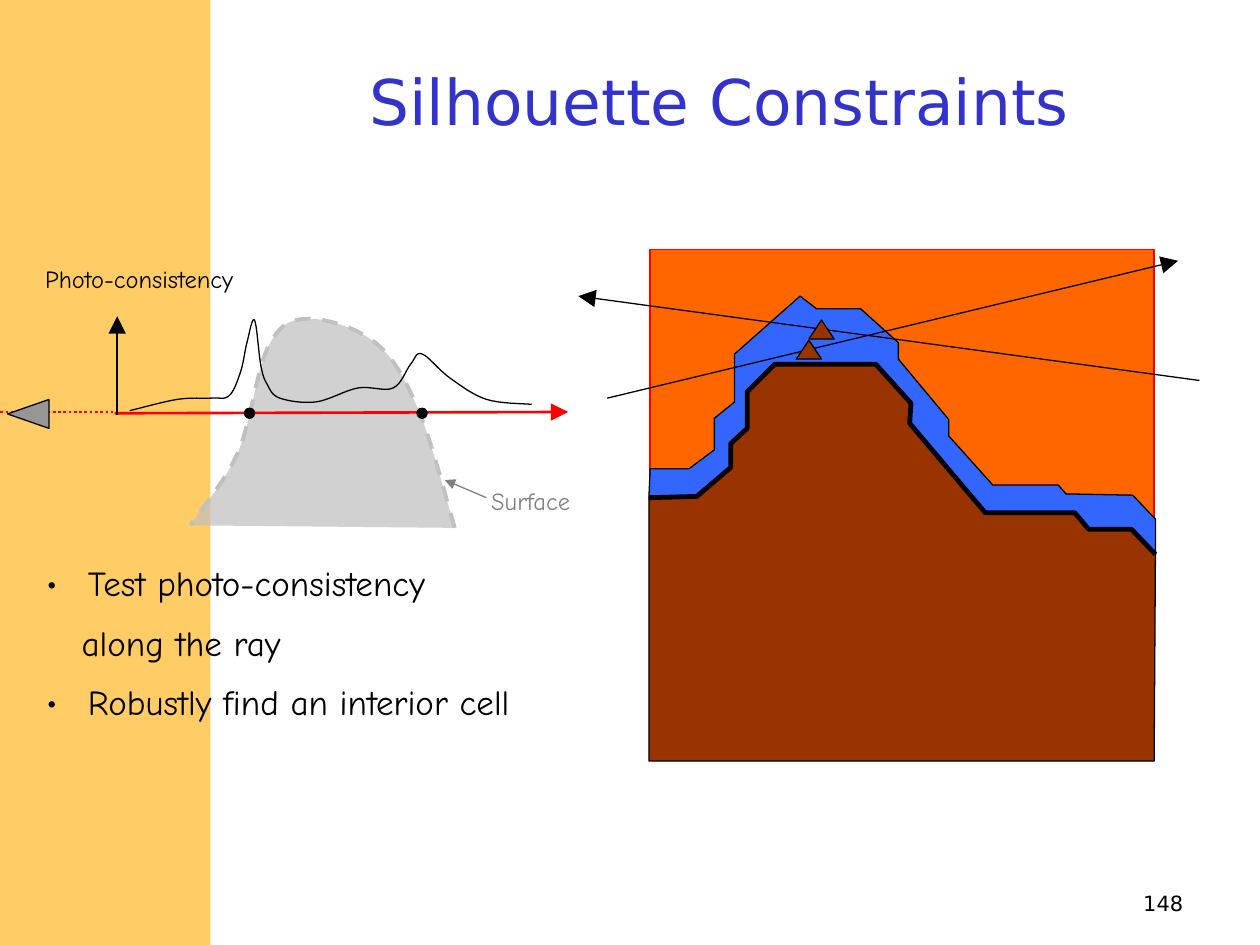
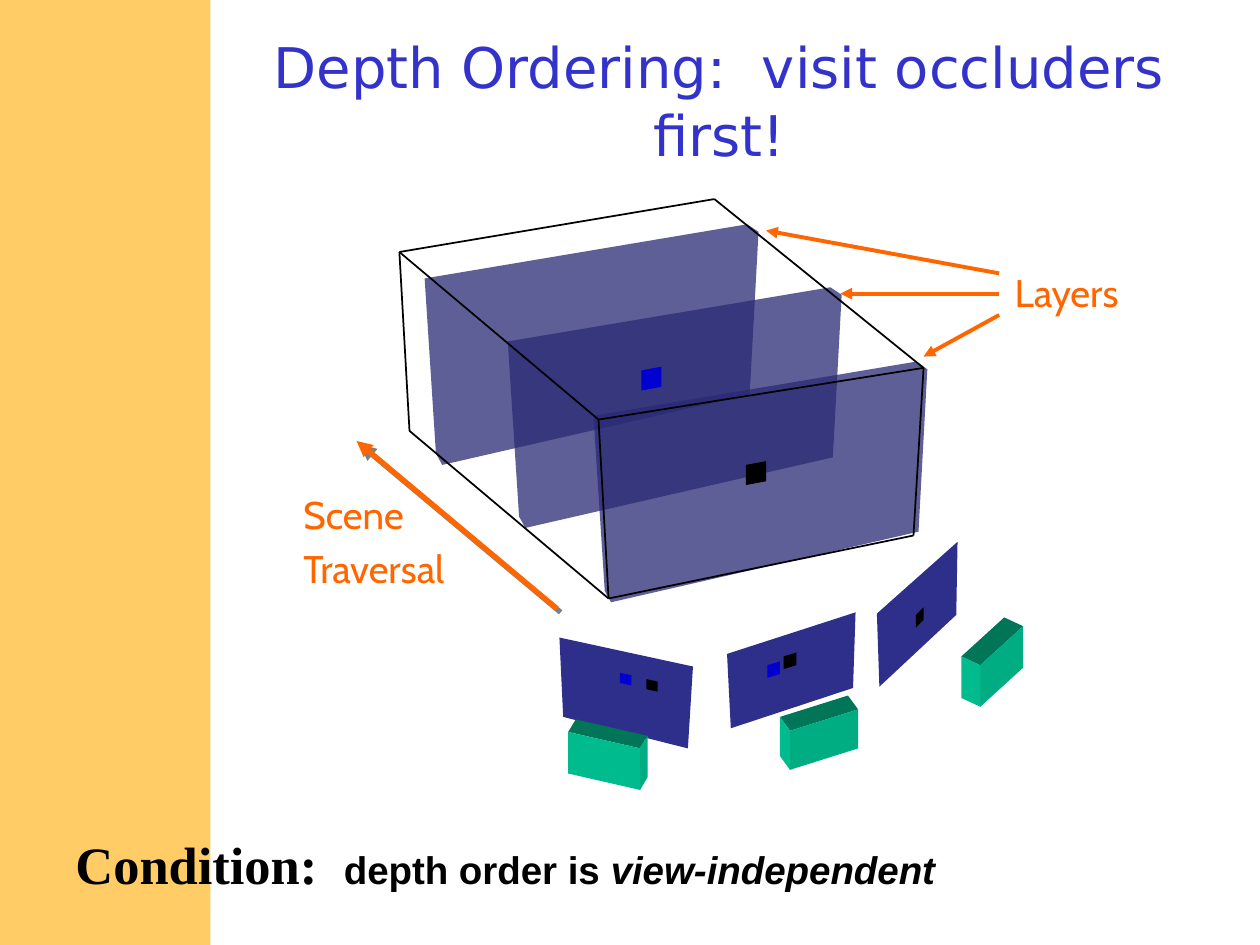
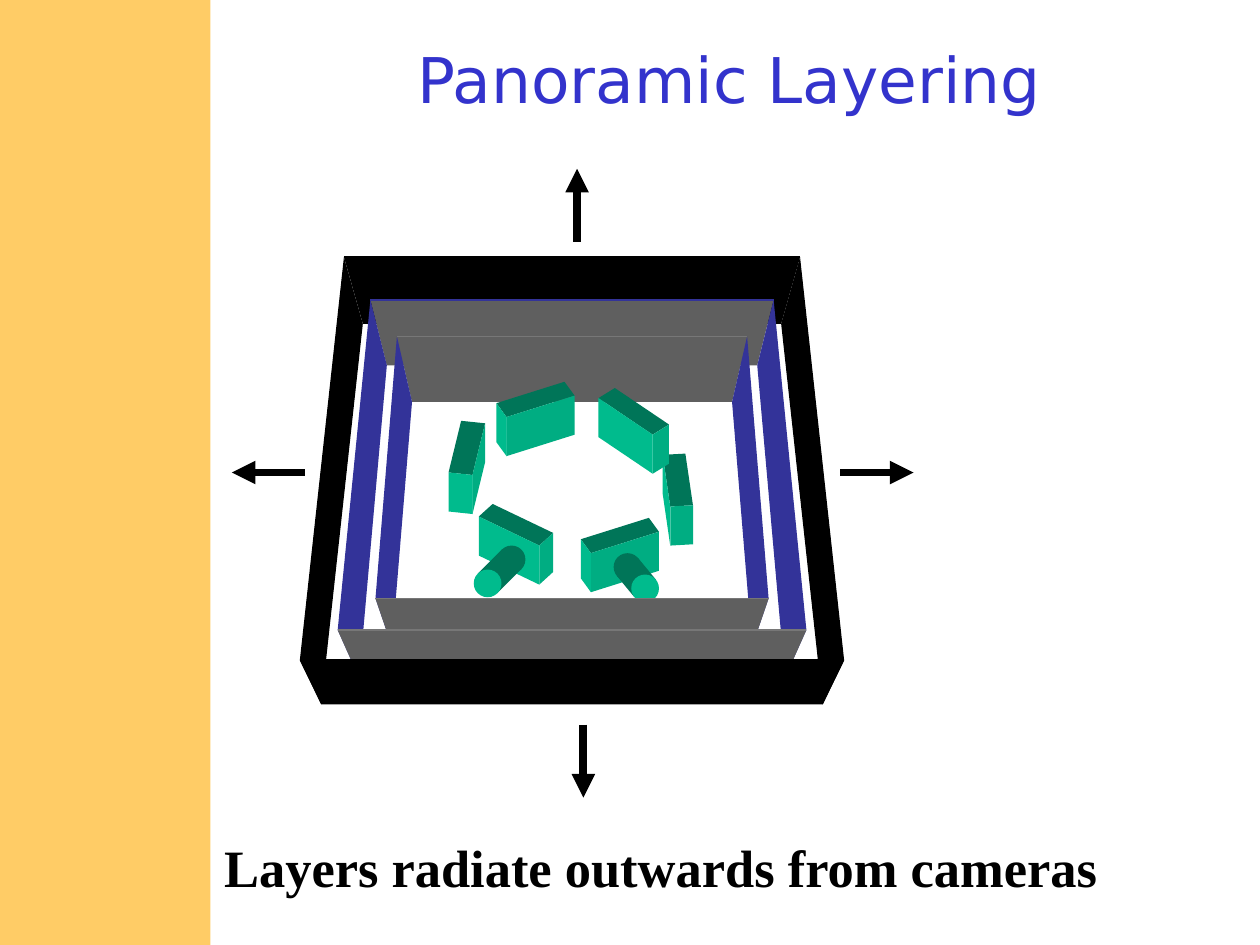
from dataclasses import dataclass
from itertools import product
from math import hypot
from typing import Any, NamedTuple

from lxml import etree
from pptx import Presentation
from pptx.dml.color import RGBColor
from pptx.enum.dml import MSO_LINE
from pptx.enum.shapes import MSO_CONNECTOR, MSO_SHAPE
from pptx.enum.text import MSO_ANCHOR, PP_ALIGN
from pptx.oxml.ns import qn
from pptx.util import Inches, Pt

BAND = RGBColor(0xFF, 0xCC, 0x66)
TITLE = RGBColor(0x33, 0x33, 0xCC)
BLACK = RGBColor(0x00, 0x00, 0x00)
RED = RGBColor(0xFF, 0x00, 0x00)
ORANGE = RGBColor(0xFF, 0x66, 0x00)
BROWN = RGBColor(0x99, 0x33, 0x00)
SKY = RGBColor(0x33, 0x66, 0xFF)
GREY = RGBColor(0x80, 0x80, 0x80)
MID_GREY = RGBColor(0x96, 0x96, 0x96)
SILVER = RGBColor(0xC0, 0xC0, 0xC0)
EDGE_GREY = RGBColor(0x77, 0x77, 0x77)
WALL_GREY = RGBColor(0x5F, 0x5F, 0x5F)
WALL_BLUE = RGBColor(0x33, 0x33, 0x99)
LAYER_BLUE = RGBColor(0x2A, 0x2A, 0x75)
VIEW_BLUE = RGBColor(0x2E, 0x2E, 0x8B)
VOXEL_BLUE = RGBColor(0x00, 0x00, 0xD0)
GREEN_TOP = RGBColor(0x00, 0x75, 0x58)
GREEN_RIGHT = RGBColor(0x00, 0xAD, 0x82)
GREEN_LEFT = RGBColor(0x00, 0xBB, 0x8D)

SANS, HAND, LABEL, SERIF, BODY = (
    "DejaVu Sans", "Comic Neue", "Cabin", "Times New Roman", "Arial")


class Camera(NamedTuple):
    """Block seen from above: edges that leave its near top corner."""
    to_left: tuple
    to_right: tuple
    height: float = .31


RISING = Camera((-.08, -.11), (.54, -.17))
FALLING = Camera((-.57, -.13), (.06, -.1), .33)
STEEP = Camera((-.15, -.07), (.34, -.31), .33)
WEST = Camera((-.19, -.02), (.1, -.41))
EAST = Camera((-.06, -.41), (.18, -.01))
NORTH_EAST = Camera((-.43, -.29), (.13, -.08))
SOUTH_WEST = Camera((-.48, -.23), (.11, -.1))


class View(NamedTuple):
    """Image plane with its pixels, and the camera that sees it."""
    place: tuple
    plane: list
    pixel_edge: tuple
    pixel_height: float
    pixels: list
    camera_place: tuple
    camera: Camera


class Ring(NamedTuple):
    """Four walls; each corner pair is (half width, y), mirrored at the room's axis."""
    back_top: tuple
    back_bottom: tuple
    front_top: tuple
    front_bottom: tuple
    face: RGBColor
    side: RGBColor
    back_edge: RGBColor
    front_edge: RGBColor


def add(*vectors):
    return tuple(map(sum, zip(*vectors)))


def parallelogram(across, down, corner=(0, 0)):
    return [corner, add(corner, across), add(corner, across, down), add(corner, down)]


def catmull_rom(before, start, end, after, t):
    return .5 * (2 * start + (end - before) * t
                 + (2 * before - 5 * start + 4 * end - after) * t ** 2
                 + (3 * start - before - 3 * end + after) * t ** 3)


def smooth_curve(knots, steps=8):
    """Points of a smooth curve through the knots."""
    padded = [knots[0], *knots, knots[-1]]
    spans = zip(padded, padded[1:], padded[2:], padded[3:])
    return [tuple(catmull_rom(*values, i / steps) for values in zip(*span))
            for span, i in product(spans, range(steps))] + [knots[-1]]


def paint(shape, fill=None, line=None, width=.75, alpha=None):
    shape.shadow.inherit = False
    if fill is None:
        shape.fill.background()
    else:
        shape.fill.solid()
        shape.fill.fore_color.rgb = fill
        if alpha:
            color = shape._element.spPr.find(qn("a:solidFill"))[0]
            etree.SubElement(color, qn("a:alpha"), val=str(alpha * 1000))
    if line is None:
        shape.line.fill.background()
    else:
        shape.line.color.rgb = line
        shape.line.width = Pt(width)
    return shape


@dataclass
class Region:
    """Part of a slide; every position is in inches from its top left."""
    s: Any
    x: float
    y: float

    def emu(self, point):
        return Inches(self.x + point[0]), Inches(self.y + point[1])

    def inner(self, x, y):
        return Region(self.s, self.x + x, self.y + y)

    def poly(self, points, fill=None, line=None, width=.75, alpha=None, close=True):
        first, *rest = map(self.emu, points)
        builder = self.s.shapes.build_freeform(*first)
        builder.add_line_segments(rest, close=close)
        return paint(builder.convert_to_shape(), fill, line, width, alpha)

    def shape(self, kind, x, y, w, h, fill, line=None):
        sp = self.s.shapes.add_shape(kind, *self.emu((x, y)), Inches(w), Inches(h))
        return paint(sp, fill, line)

    def disc(self, center, radius, fill, line=None):
        x, y = center
        return self.shape(MSO_SHAPE.OVAL, x - radius, y - radius,
                          2 * radius, 2 * radius, fill, line)

    def line(self, start, end, color=BLACK, width=.75):
        c = self.s.shapes.add_connector(
            MSO_CONNECTOR.STRAIGHT, *self.emu(start), *self.emu(end))
        c.line.color.rgb = color
        c.line.width = Pt(width)
        etree.SubElement(c._element.spPr, qn("a:effectLst"))
        return c

    def arrow(self, start, end, color=BLACK, width=.75, head="med"):
        c = self.line(start, end, color, width)
        ln = c._element.spPr.find(qn("a:ln"))
        etree.SubElement(ln, qn("a:tailEnd"), type="triangle", w=head, len=head)

    def text(self, x, y, w, h, lines, size, font, color=BLACK, bold=None, wrap=False,
             align=PP_ALIGN.LEFT, anchor=MSO_ANCHOR.TOP, gap=0):
        box = self.s.shapes.add_textbox(*self.emu((x, y)), Inches(w), Inches(h))
        tf = box.text_frame
        tf.word_wrap = wrap
        tf.vertical_anchor = anchor
        for i, words in enumerate(lines):
            p = tf.paragraphs[0] if i == 0 else tf.add_paragraph()
            p.text = words
            p.alignment = align
            if i:
                p.space_before = Pt(gap)
            p.font.size, p.font.name, p.font.bold = Pt(size), font, bold
            p.font.color.rgb = color
        return tf


def add_slide(prs, title, size, x=1.67, y=.42, w=8.08, h=.75):
    s = prs.slides.add_slide(prs.slide_layouts[6])
    page = Region(s, 0, 0)
    page.shape(MSO_SHAPE.RECTANGLE, 0, 0, 1.67, 7.5, BAND)
    page.text(x, y, w, h, [title], size, SANS, TITLE, wrap=True,
              align=PP_ALIGN.CENTER, anchor=MSO_ANCHOR.MIDDLE)
    return page


def draw_camera(box, corner, camera):
    left, right, down = camera.to_left, camera.to_right, (0, camera.height)
    for edges, fill in (((left, right), GREEN_TOP),
                        ((right, down), GREEN_RIGHT),
                        ((left, down), GREEN_LEFT)):
        box.poly(parallelogram(*edges, corner), fill)


def draw_lens(box, front, back, radius=.11):
    dx, dy = back[0] - front[0], back[1] - front[1]
    scale = radius / hypot(dx, dy)
    side, other_side = (-dy * scale, dx * scale), (dy * scale, -dx * scale)
    box.disc(back, radius, GREEN_TOP)
    box.poly([add(front, side), add(back, side),
              add(back, other_side), add(front, other_side)], GREEN_TOP)
    box.disc(front, radius, GREEN_LEFT)


def draw_terrain(box):
    surface = [(0, 1.97), (.38, 1.96), (.65, 1.73), (.65, 1.54), (.78, 1.42), (.78, 1.13),
               (1, .91), (1.8, .91), (2.08, 1.22), (2.07, 1.38), (2.67, 2.09),
               (3.38, 2.09), (3.49, 2.22), (3.83, 2.22), (4.02, 2.42)]
    hull = [(4.02, 2.14), (3.84, 1.95), (3.31, 1.94), (3.25, 1.87), (2.73, 1.87),
            (2.38, 1.48), (2.38, 1.35), (1.98, .87), (1.98, .74), (1.68, .47),
            (1.33, .47), (1.2, .37), (.68, .83), (.68, 1.21), (.52, 1.34),
            (.52, 1.59), (.32, 1.74), (.01, 1.74)]
    ground = [(4.01, 4.06), (0, 4.06)]
    rays_and_cells = [((4.37, 1.04), (-.56, .37), (1.27, .56)),
                      ((-.33, 1.18), (4.2, .09), (1.17, .72))]
    box.shape(MSO_SHAPE.RECTANGLE, .01, 0, 4, 4.05, ORANGE, RED)
    box.poly(surface + ground, BROWN, BLACK)
    box.poly(hull + surface, SKY, BLACK)
    for start, end, cell in rays_and_cells:
        box.arrow(start, end, head="lg")
        box.shape(MSO_SHAPE.ISOSCELES_TRIANGLE, *cell, .2, .15, BROWN, BLACK)
    box.poly(surface, None, BLACK, 2.75, close=False)


def draw_ray_plot(box):
    ray_y = 1.22
    hill = [(3.61, 2.14), (3.32, 1.2), (2.98, .67), (2.44, .48), (2.13, .7),
            (1.89, 1.54), (1.51, 2.12)]
    consistency = [(1.03, 1.21), (1.41, 1.12), (1.68, 1.11), (1.82, 1.09), (1.91, .9),
                   (1.96, .67), (2.02, .49), (2.07, .85), (2.12, 1), (2.22, 1.11),
                   (2.51, 1.14), (2.84, 1.03), (3.12, 1.03), (3.26, .84), (3.35, .76),
                   (3.57, .95), (3.86, 1.12), (4.22, 1.16)]
    outline = box.poly(smooth_curve(hill), SILVER, SILVER, 2.25, alpha=72, close=False)
    outline.line.dash_style = MSO_LINE.DASH
    box.arrow((.91, ray_y + .01), (4.51, ray_y), RED, 1.5, head="lg")
    box.poly(smooth_curve(consistency), None, BLACK, close=False)
    for x in (1.98, 3.35):
        box.disc((x, ray_y + .01), .04, BLACK, BLACK)
    box.arrow((.93, ray_y + .02), (.93, .46), width=1, head="lg")
    box.text(.26, 0, 1.87, .33, ["Photo-consistency"], 14, HAND)
    box.text(3.8, 1.76, 1.11, .33, ["Surface"], 14, HAND, GREY)
    box.arrow((3.86, 1.9), (3.53, 1.76), GREY)
    behind_eye = box.line((.9, ray_y), (0, ray_y), RED, 1.5)
    behind_eye.line.dash_style = MSO_LINE.ROUND_DOT
    eye = box.shape(MSO_SHAPE.ISOSCELES_TRIANGLE, .11, 1.07, .23, .33, MID_GREY, BLACK)
    eye.rotation = 270


def draw_bullets(box):
    lines = ["Test photo-consistency", "along the ray", "Robustly find an interior cell"]
    continued = lines[1]
    tf = box.text(0, 0, 4.67, 1.43, lines, 20, HAND, wrap=True, gap=10)
    for p in tf.paragraphs:
        pPr = p._p.get_or_add_pPr()
        if p.text == continued:
            pPr.set("marL", str(Inches(.28)))
            continue
        pPr.set("marL", str(Inches(.33)))
        pPr.set("indent", str(Inches(-.33)))
        for tag, attributes in (("a:buFont", {"typeface": HAND}), ("a:buChar", {"char": "•"})):
            pPr.insert_element_before(etree.Element(qn(tag), attributes),
                                      "a:tabLst", "a:defRPr", "a:extLst")


def draw_layers(box):
    slab = [(0, 0), (2.56, -.43), (2.65, -.37), (2.58, .92), (.14, 1.48), (.09, 1.39)]
    voxel = parallelogram((.16, -.03), (0, .16))
    label_x = 4.76
    layers = [((.2, .63), None, None, .59, (2.91, .25)),
              ((.86, 1.13), (1.92, 1.36), VOXEL_BLUE, .75, (3.5, .75)),
              ((1.54, 1.72), (2.75, 2.11), BLACK, .92, (4.16, 1.25))]
    for place, voxel_place, voxel_color, arrow_y, arrow_tip in layers:
        box.inner(*place).poly(slab, LAYER_BLUE, alpha=75)
        if voxel_place:
            box.inner(*voxel_place).poly(voxel, voxel_color)
        box.arrow((label_x, arrow_y), arrow_tip, ORANGE, 2.25)
    box.text(label_x, .5, 1.07, .47, ["Layers"], 22, LABEL, ORANGE,
             align=PP_ALIGN.CENTER, anchor=MSO_ANCHOR.MIDDLE)


def draw_volume_frame(box):
    far_left, far_right = (0, .42), (2.5, 0)
    near_left, near_right = (1.58, 1.75), (4.16, 1.34)
    low_far_left, low_near_left, low_near_right = (.08, 1.84), (1.66, 3.17), (4.08, 2.67)
    top = [near_left, far_left, far_right, near_right, near_left]
    bottom = [low_far_left, low_near_left, low_near_right]
    uprights = zip([far_left, near_left, near_right], bottom)
    for start, end in [*zip(top, top[1:]), *zip(bottom, bottom[1:]), *uprights]:
        box.line(start, end, width=1)


def draw_traversal(box):
    for shift, color in ((.03, GREY), (0, ORANGE)):
        box.inner(shift, shift).arrow((1.25, 3.25), (-.34, 1.92), color, 3)
    box.text(-.86, 2.26, 1.44, .91, ["Scene", "Traversal"], 22, LABEL, ORANGE,
             anchor=MSO_ANCHOR.MIDDLE, gap=4)


def draw_views(box):
    right = View(place=(2.52, .57), plane=[(0, 0), (.64, -.57), (.63, .01), (.02, .58)],
                 pixel_edge=(.06, -.06), pixel_height=.1, pixels=[((.31, .01), BLACK)],
                 camera_place=(3.34, .98), camera=STEEP)
    middle = View(place=(1.33, .89), plane=[(0, 0), (1.02, -.33), (1, .27), (.03, .59)],
                  pixel_edge=(.1, -.03), pixel_height=.1,
                  pixels=[((.45, .02), BLACK), ((.32, .09), VOXEL_BLUE)],
                  camera_place=(1.83, 1.5), camera=RISING)
    left = View(place=(0, .76), plane=[(0, 0), (1.06, .23), (1.02, .88), (.03, .63)],
                pixel_edge=(.09, .02), pixel_height=.08,
                pixels=[((.48, .28), VOXEL_BLUE), ((.69, .33), BLACK)],
                camera_place=(.64, 1.64), camera=FALLING)
    for view in (right, middle, left):
        image = box.inner(*view.place)
        image.poly(view.plane, VIEW_BLUE)
        for corner, color in view.pixels:
            image.poly(parallelogram(view.pixel_edge, (0, view.pixel_height), corner), color)
        draw_camera(box, view.camera_place, view.camera)


def draw_condition(box):
    tf = box.text(0, 0, 7.05, .6, [""], 22, BODY, bold=True, anchor=MSO_ANCHOR.MIDDLE)
    p = tf.paragraphs[0]
    head, body, stress = [p.add_run() for _ in range(3)]
    head.text, body.text, stress.text = "Condition:  ", "depth order is ", "view-independent"
    head.font.size, head.font.name = Pt(30), SERIF
    stress.font.italic = True


def draw_room(box):
    """Nested rings of walls around a circle of cameras."""
    axis = 2.15
    outer = Ring((1.81, 0), (1.66, .53), (2.16, 3.2), (1.99, 3.55),
                 BLACK, BLACK, BLACK, BLACK)
    middle = Ring((1.6, .34), (1.47, .86), (1.86, 2.96), (1.69, 3.34),
                  WALL_GREY, WALL_BLUE, WALL_BLUE, EDGE_GREY)
    inner = Ring((1.39, .63), (1.27, 1.15), (1.56, 2.71), (1.43, 3.09),
                 WALL_GREY, WALL_BLUE, EDGE_GREY, EDGE_GREY)
    cameras = [((1.36, 1.73), WEST), ((2.93, 1.98), EAST), ((1.89, 2.29), SOUTH_WEST),
               ((2.3, 2.35), RISING), ((1.63, 1.27), RISING), ((2.79, 1.41), NORTH_EAST)]
    lenses = [((1.48, 2.59), (1.67, 2.4)), ((2.73, 2.63), (2.59, 2.46))]

    def on_side(side, corner):
        half_width, y = corner
        return axis + side * half_width, y

    def draw_cross_wall(top, bottom, fill, edge):
        top_left, top_right = on_side(-1, top), on_side(1, top)
        box.poly([top_left, top_right, on_side(1, bottom), on_side(-1, bottom)], fill)
        box.line(top_left, top_right, edge, 1)

    rings = [outer, middle, inner]
    for ring in rings:
        draw_cross_wall(ring.back_top, ring.back_bottom, ring.face, ring.back_edge)
        wall = [ring.back_top, ring.front_top, ring.front_bottom, ring.back_bottom]
        for side in (-1, 1):
            box.poly([on_side(side, corner) for corner in wall], ring.side)
    for corner, camera in cameras:
        draw_camera(box, corner, camera)
    for front, back in lenses:
        draw_lens(box, front, back)
    for ring in reversed(rings):
        draw_cross_wall(ring.front_top, ring.front_bottom, ring.face, ring.front_edge)


def draw_outward_arrows(box):
    length = .58
    starts_and_directions = [((4.28, 1.71), (1, 0)), ((.03, 1.71), (-1, 0)),
                             ((2.24, 3.71), (0, 1)), ((2.19, -.12), (0, -1))]
    for start, (dx, dy) in starts_and_directions:
        box.arrow(start, add(start, (dx * length, dy * length)), width=4.5)


def silhouette_slide(prs):
    page = add_slide(prs, "Silhouette Constraints", 36)
    draw_terrain(page.inner(5.15, 1.98))
    draw_bullets(page.inner(.27, 4.41))
    draw_ray_plot(page.inner(0, 2.05))
    page.text(8.59, 7.02, .9, .27, ["148"], 12, SANS, align=PP_ALIGN.RIGHT)


def depth_slide(prs):
    page = add_slide(prs, "Depth Ordering:  visit occluders first!", 32)
    volume = page.inner(3.17, 1.58)
    draw_layers(volume)
    draw_views(page.inner(4.44, 4.3))
    draw_volume_frame(volume)
    draw_traversal(volume)
    draw_condition(page.inner(.5, 6.55))


def panoramic_slide(prs):
    page = add_slide(prs, "Panoramic Layering", 36, 1.83, 0, 7.92, 1.25)
    room = page.inner(2.39, 2.04)
    draw_room(room)
    draw_outward_arrows(room)
    page.text(1.68, 6.58, 7.15, .6, ["Layers radiate outwards from cameras"], 30, SERIF,
              bold=True, anchor=MSO_ANCHOR.MIDDLE)


def main():
    prs = Presentation()
    prs.slide_width, prs.slide_height = Inches(10), Inches(7.5)
    for build_slide in (silhouette_slide, depth_slide, panoramic_slide):
        build_slide(prs)
    prs.save("out.pptx")


if __name__ == "__main__":
    main()
